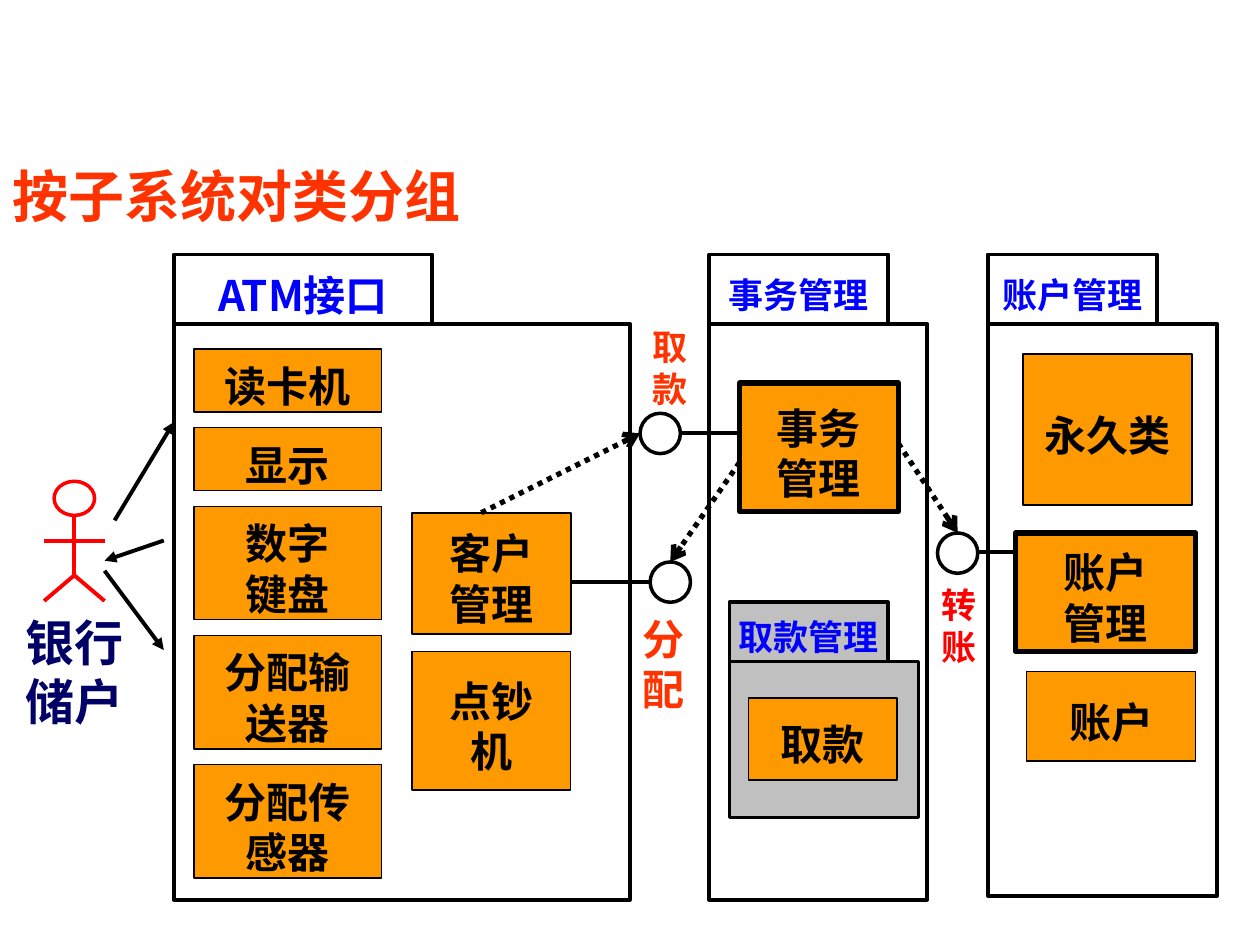
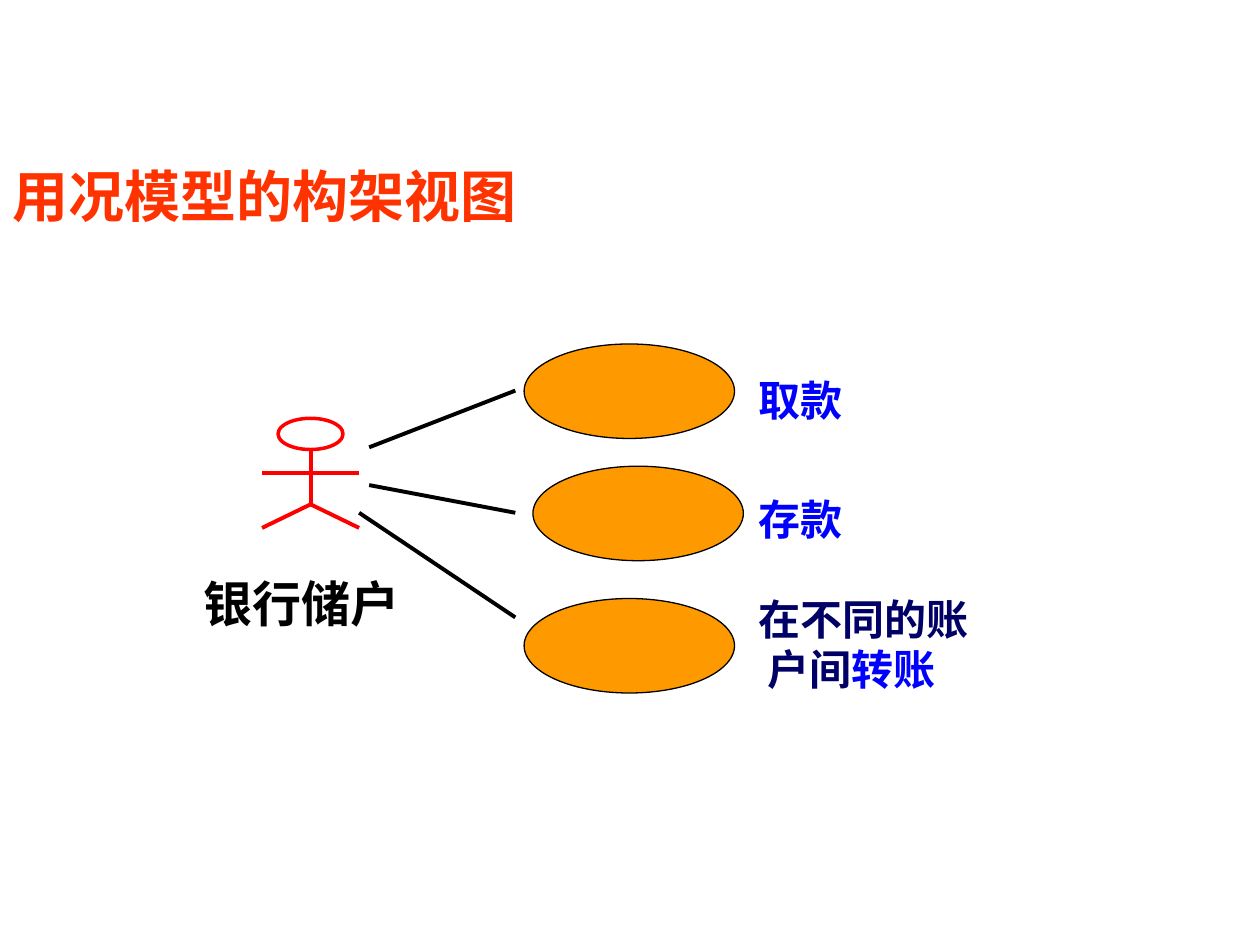
import pptx
import pptx.dml.color
import pptx.enum.dml
import pptx.enum.shapes
import pptx.enum.text
import pptx.oxml.ns
import pptx.util
from lxml import etree

Inches = pptx.util.Inches
Pt = pptx.util.Pt
SHAPE = pptx.enum.shapes.MSO_SHAPE
ALIGN = pptx.enum.text.PP_ALIGN
ANCHOR = pptx.enum.text.MSO_ANCHOR
qn = pptx.oxml.ns.qn

# Shared look
ORANGE, GRAY, BLACK = "FF9900", "C0C0C0", "000000"
TITLE_RED, RED, BLUE, NAVY = "FF3300", "FF0000", "0000FF", "000066"
SERIF, COMIC, CJK = "Times New Roman", "Comic Neue", "Noto Sans CJK SC"
LINE_PITCH = 1.2


def rgb(value):
    return pptx.dml.color.RGBColor.from_string(value)


def add_run(paragraph, text, size, color, font):
    run = paragraph.add_run()
    run.text = text
    run.font.size = Pt(size)
    run.font.bold = True
    run.font.color.rgb = rgb(color)
    run.font.name = font
    east_asian = etree.SubElement(run.font._element, qn("a:ea"))
    east_asian.set("typeface", CJK)


def write_lines(frame, lines, size, color, font, align, anchor):
    """Each line is a string or a list of (text, color) runs."""
    frame.margin_left = frame.margin_right = 0
    frame.margin_top, frame.margin_bottom = Inches(0.09), Inches(0.01)
    frame.vertical_anchor = anchor
    for index, line in enumerate(lines):
        paragraph = frame.paragraphs[0] if index == 0 else frame.add_paragraph()
        paragraph.alignment = align
        paragraph.line_spacing = Pt(size * LINE_PITCH)
        runs = [(line, color)] if isinstance(line, str) else line
        for text, run_color in runs:
            add_run(paragraph, text, size, run_color, font)


def add_title(slide, text):
    title = slide.shapes.title
    title.left, title.top = Inches(0), Inches(1.23)
    title.width, title.height = Inches(7.5), Inches(0.63)
    title.text_frame.vertical_anchor = ANCHOR.MIDDLE
    paragraph = title.text_frame.paragraphs[0]
    paragraph.alignment = ALIGN.LEFT
    add_run(paragraph, text, 32, TITLE_RED, SERIF)


def add_figure(shapes, kind, box, fill=None, line=BLACK, weight=0.75):
    figure = shapes.add_shape(kind, *map(Inches, box))
    figure.shadow.inherit = False
    if fill:
        figure.fill.solid()
        figure.fill.fore_color.rgb = rgb(fill)
    else:
        figure.fill.background()
    figure.line.color.rgb = rgb(line)
    figure.line.width = Pt(weight)
    return figure


def add_block(slide, box, lines, font=SERIF, size=24, color=BLACK,
              fill=ORANGE, weight=0.75):
    block = add_figure(slide.shapes, SHAPE.RECTANGLE, box, fill, weight=weight)
    block.text_frame.word_wrap = True
    write_lines(block.text_frame, lines, size, color, font,
                ALIGN.CENTER, ANCHOR.MIDDLE)


def add_package(slide, left, top, tab_size, body_size, name,
                font=COMIC, size=20, fill=None, weight=2.25):
    tab_width, tab_height = tab_size
    add_figure(slide.shapes, SHAPE.RECTANGLE,
               (left, top + tab_height, *body_size), fill, weight=weight)
    add_block(slide, (left, top, tab_width, tab_height), [name],
              font, size, BLUE, fill, weight)


def add_label(slide, box, lines, size, color, font, align=ALIGN.LEFT):
    label = slide.shapes.add_textbox(*map(Inches, box))
    label.text_frame.word_wrap = True
    write_lines(label.text_frame, lines, size, color, font, align, ANCHOR.TOP)
    return label


def add_line(shapes, start, end, color=BLACK, weight=2.25, arrow=None, dotted=False):
    line = shapes.add_connector(pptx.enum.shapes.MSO_CONNECTOR.STRAIGHT,
                                *map(Inches, (*start, *end)))
    line.line.color.rgb = rgb(color)
    line.line.width = Pt(weight)
    if dotted:
        line.line.dash_style = pptx.enum.dml.MSO_LINE.ROUND_DOT
    properties = line._element.spPr
    if arrow:
        tip = etree.SubElement(properties.find(qn("a:ln")), qn("a:tailEnd"))
        tip.set("type", arrow)
    etree.SubElement(properties, qn("a:effectLst"))


def add_actor(slide, left, top, width, height):
    """Stick figure scaled to its frame."""
    shapes = slide.shapes.add_group_shape().shapes
    middle, right, bottom = left + width / 2, left + width, top + height
    head_width, head_height = width * 0.67, height * 0.285
    arms, hip = top + height * 0.5, top + height * 0.785
    add_figure(shapes, SHAPE.OVAL,
               (middle - head_width / 2, top, head_width, head_height),
               line=RED, weight=2)
    for start, end in [
        ((left, arms), (right, arms)),
        ((middle, top + head_height), (middle, hip)),
        ((left, bottom), (middle, hip)),
        ((right, bottom), (middle, hip)),
    ]:
        add_line(shapes, start, end, RED)


def build_subsystems(slide):
    add_title(slide, "按子系统对类分组")

    # Subsystem packages
    add_package(slide, 1.38, 2.02, (2.05, 0.55), (3.62, 4.57), "ATM接口", CJK, 24)
    add_package(slide, 5.63, 2.02, (1.42, 0.55), (1.73, 4.57), "事务管理")
    add_package(slide, 7.84, 2.02, (1.34, 0.55), (1.82, 4.54), "账户管理")
    add_package(slide, 5.79, 4.78, (1.26, 0.47), (1.5, 1.24), "取款管理",
                fill=GRAY, weight=2)

    # Device classes, stacked with an equal gap
    device_top = 2.77
    for lines in (["读卡机"], ["显示"], ["数字", "键盘"],
                  ["分配输", "送器"], ["分配传", "感器"]):
        device_height = 0.1 + 0.4 * len(lines)
        add_block(slide, (1.54, device_top, 1.49, device_height), lines)
        device_top += device_height + 0.125

    # Other classes
    add_block(slide, (3.27, 4.07, 1.26, 0.96), ["客户", "管理"], weight=1)
    add_block(slide, (3.27, 5.17, 1.26, 1.1), ["点钞", "机"])
    for box, lines, weight in [
        ((5.87, 3.04, 1.26, 1.02), ["事务", "管理"], 3),
        ((5.94, 5.54, 1.18, 0.65), ["取款"], 0.75),
        ((8.12, 2.81, 1.34, 1.2), ["永久类"], 0.75),
        ((8.06, 4.23, 1.43, 0.94), ["账户", "管理"], 3),
        ((8.15, 5.33, 1.34, 0.71), ["账户"], 0.75),
    ]:
        add_block(slide, box, lines, COMIC, weight=weight)

    # Bank customer and exchanges with the ATM
    add_actor(slide, 0.35, 3.82, 0.48, 0.95)
    add_label(slide, (0.2, 4.77, 0.79, 1.04), ["银行", "储户"], 28, NAVY, SERIF)
    for start, end in [((0.91, 4.13), (1.38, 3.35)),
                       ((1.3, 4.29), (0.83, 4.45)),
                       ((0.83, 4.53), (1.3, 5.16))]:
        add_line(slide.shapes, start, end, arrow="triangle")

    # Interfaces: circle, link to provider, dotted use arrow
    for corner, link, use in [
        ((5.08, 3.28), ((5.87, 3.44), (5.39, 3.44)), ((3.82, 4.07), (5.08, 3.44))),
        ((5.16, 4.46), ((5.16, 4.62), (4.53, 4.62)), ((5.87, 3.67), (5.32, 4.46))),
        ((7.44, 4.23), ((8.07, 4.38), (7.76, 4.38)), ((7.13, 3.52), (7.6, 4.23))),
    ]:
        add_figure(slide.shapes, SHAPE.OVAL, (*corner, 0.32, 0.32), weight=2)
        add_line(slide.shapes, *link)
        add_line(slide.shapes, *use, weight=3, arrow="arrow", dotted=True)
    for box, lines, size, color in [
        ((5.18, 2.49, 0.38, 0.77), ["取", "款"], 20, TITLE_RED),
        ((5.1, 4.78, 0.43, 0.9), ["分", "配"], 24, TITLE_RED),
        ((7.47, 4.54, 0.38, 0.77), ["转", "账"], 20, RED),
    ]:
        add_label(slide, box, lines, size, color, COMIC)


def build_use_cases(slide):
    add_title(slide, "用况模型的构架视图")

    # Bank customer
    add_actor(slide, 2.08, 3.32, 0.77, 0.87)
    add_label(slide, (1.53, 4.46, 1.73, 0.57), ["银行储户"], 28, BLACK, COMIC,
              ALIGN.CENTER)

    # Use cases with their links
    for corner, start, end in [
        ((4.16, 2.73), (2.93, 3.55), (4.09, 3.1)),
        ((4.23, 3.7), (2.93, 3.85), (4.09, 4.07)),
        ((4.16, 4.75), (2.85, 4.07), (4.09, 4.9)),
    ]:
        add_figure(slide.shapes, SHAPE.OVAL, (*corner, 1.67, 0.75), ORANGE)
        add_line(slide.shapes, start, end)

    # Use case names
    add_label(slide, (6.02, 2.88, 0.77, 0.5), ["取款"], 24, BLUE, CJK)
    add_label(slide, (6.02, 3.83, 0.77, 0.5), ["存款"], 24, BLUE, CJK)
    transfer = add_label(slide, (6.02, 4.62, 1.81, 0.9),
                         ["在不同的账", [("户间", NAVY), ("转账", BLUE)]],
                         24, NAVY, CJK)
    second_line = transfer.text_frame.paragraphs[1]._p.get_or_add_pPr()
    second_line.set("marL", str(Inches(0.07)))


def main():
    deck = pptx.Presentation()
    deck.slide_width, deck.slide_height = Inches(10), Inches(7.5)
    title_only = deck.slide_layouts[5]
    for build in (build_subsystems, build_use_cases):
        build(deck.slides.add_slide(title_only))
    deck.save("out.pptx")


if __name__ == "__main__":
    main()
